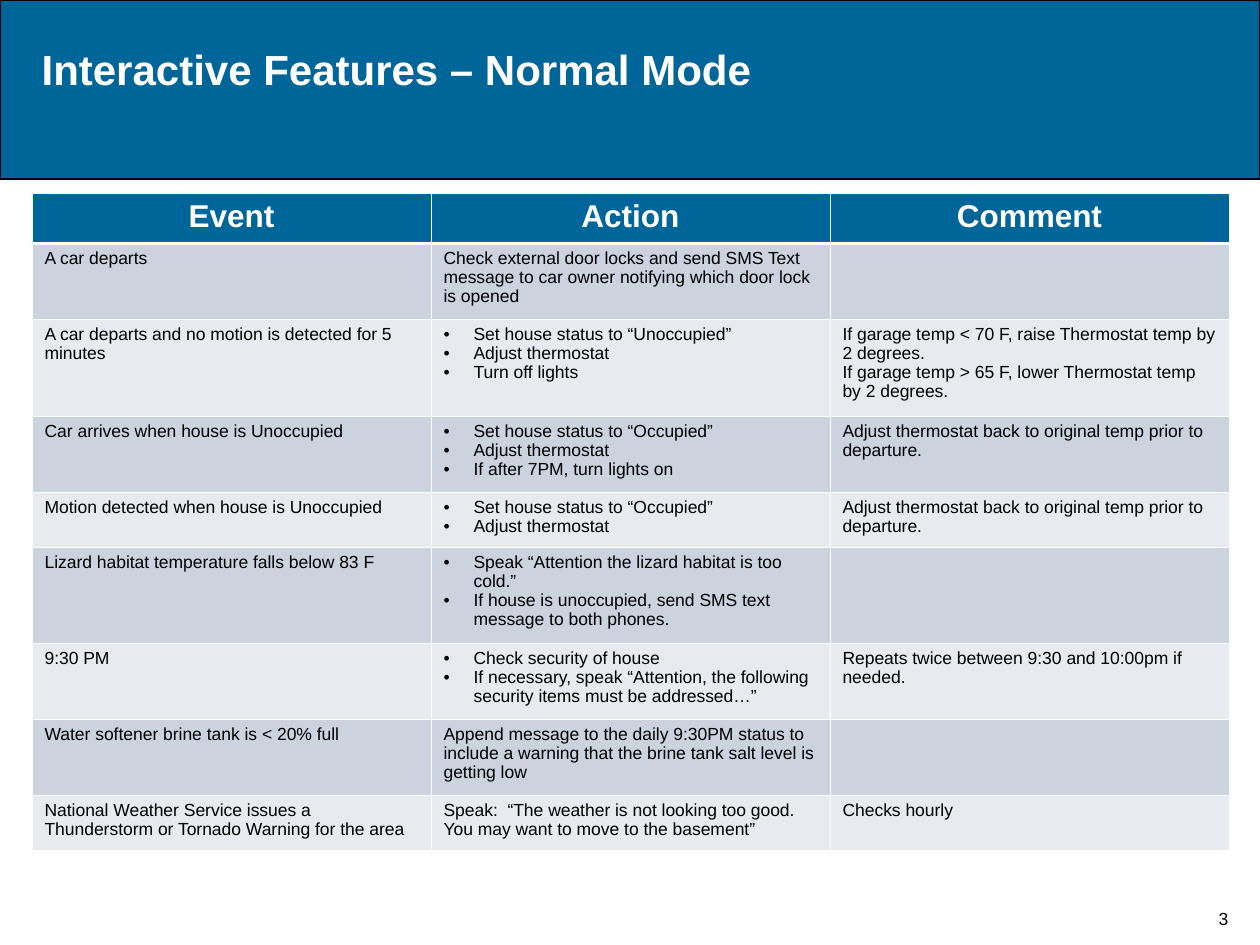
from dataclasses import dataclass

from lxml import etree
from pptx import Presentation
from pptx.dml.color import RGBColor
from pptx.enum.shapes import MSO_SHAPE
from pptx.enum.text import MSO_ANCHOR, MSO_AUTO_SIZE, PP_ALIGN
from pptx.oxml.ns import qn
from pptx.util import Emu, Pt

RECT = MSO_SHAPE.RECTANGLE
TOP, BOTTOM = MSO_ANCHOR.TOP, MSO_ANCHOR.BOTTOM
LEFT, CENTER = PP_ALIGN.LEFT, PP_ALIGN.CENTER
FIXED = MSO_AUTO_SIZE.NONE
SCALE = 914400 / 126


@dataclass(frozen=True)
class Theme:
    """Colours, font and type sizes of the deck."""
    font: str = "Arial"
    blue: str = "006699"
    white: str = "FFFFFF"
    black: str = "000000"
    bands: tuple = ("E7EAEF", "CBD3DE")
    title: int = 24
    head: int = 18
    body: int = 10
    pitch: float = 0.97
    thin: float = 0.45
    thick: float = 1.47


def px(n):
    """Turn px into EMU."""
    return Emu(round(n * SCALE))


def tint(code):
    """Turn a hex code into a colour."""
    return RGBColor.from_string(code)


class Deck:
    """Holds the theme and the current slide."""

    def __init__(self, theme, wide, high):
        """Open a deck with one titled slide."""
        self.theme = theme
        self.show = Presentation()
        self.show.slide_width, self.show.slide_height = px(wide), px(high)
        self.slide = self.show.slides.add_slide(self.show.slide_layouts[5])

    def text(self, para, words, size, color, bold=False, align=LEFT):
        """Add one styled run to a paragraph."""
        para.alignment = align
        run = para.add_run()
        run.text = words
        font = run.font
        font.name, font.size, font.bold = self.theme.font, Pt(size), bold
        font.color.rgb = tint(color)

    def band(self, *box):
        """Draw the title band behind everything else."""
        shape = self.slide.shapes.add_shape(RECT, *map(px, box))
        shape.shadow.inherit = False
        shape.fill.solid()
        shape.fill.fore_color.rgb = tint(self.theme.blue)
        shape.line.color.rgb = tint(self.theme.black)
        shape.line.width = Pt(1)
        tree = shape.element.getparent()
        tree.insert(2, shape.element)

    def title(self, words, *box):
        """Move and fill the title placeholder."""
        shape = self.slide.shapes.title
        shape.left, shape.top, shape.width, shape.height = map(px, box)
        frame = shape.text_frame
        frame.auto_size, frame.vertical_anchor = FIXED, TOP
        look = self.theme
        self.text(frame.paragraphs[0], words, look.title, look.white, True)

    def label(self, words, *box):
        """Add a small centred label sitting on the base of its box."""
        frame = self.slide.shapes.add_textbox(*map(px, box)).text_frame
        frame.word_wrap, frame.vertical_anchor = True, BOTTOM
        look = self.theme
        self.text(frame.paragraphs[0], words, look.body, look.black, align=CENTER)

    def bullet(self, para, indent):
        """Give a paragraph a hanging bullet."""
        props = para._p.get_or_add_pPr()
        props.set("marL", str(px(indent)))
        props.set("indent", str(-px(indent)))
        color = etree.SubElement(props, qn("a:buClr"))
        etree.SubElement(color, qn("a:srgbClr"), val=self.theme.black)
        etree.SubElement(props, qn("a:buFont"), typeface=self.theme.font)
        etree.SubElement(props, qn("a:buChar"), char="•")

    def rule(self, cell, row):
        """Rule a cell, with a thick line under the header."""
        look = self.theme
        props = cell._tc.get_or_add_tcPr()
        for side in "LRTB":
            thick = (row, side) in ((0, "B"), (1, "T"))
            width = Pt(look.thick if thick else look.thin)
            line = etree.SubElement(props, qn(f"a:ln{side}"), w=str(width))
            fill = etree.SubElement(line, qn("a:solidFill"))
            etree.SubElement(fill, qn("a:srgbClr"), val=look.white)

    def cell(self, cell, row, words):
        """Fill one cell: a string or tuple of lines, or a list of bullets."""
        look = self.theme
        self.rule(cell, row)
        cell.fill.solid()
        cell.fill.fore_color.rgb = tint(look.bands[row % 2] if row else look.blue)
        lines = [words] if isinstance(words, str) else words
        frame = cell.text_frame
        for i, line in enumerate(filter(None, lines)):
            para = frame.add_paragraph() if i else frame.paragraphs[0]
            if row == 0:
                self.text(para, line, look.head, look.white, True, CENTER)
                continue
            para.line_spacing = look.pitch
            if isinstance(words, list):
                self.bullet(para, 30)
            self.text(para, line, look.body, look.black)

    def table(self, rows, highs, left, top, wide):
        """Add a table with equal columns."""
        count = len(rows[0])
        box = map(px, (left, top, wide, sum(highs)))
        grid = self.slide.shapes.add_table(len(rows), count, *box).table
        for col in grid.columns:
            col.width = px(wide / count)
        for r, (texts, high) in enumerate(zip(rows, highs)):
            grid.rows[r].height = px(high)
            for c, words in enumerate(texts):
                self.cell(grid.cell(r, c), r, words)


ROWS = [
    ("Event", "Action", "Comment"),
    ("A car departs",
     "Check external door locks and send SMS Text message to car owner "
     "notifying which door lock is opened", ""),
    ("A car departs and no motion is detected for 5 minutes",
     ["Set house status to “Unoccupied”", "Adjust thermostat", "Turn off lights"],
     ("If garage temp < 70 F, raise Thermostat temp by 2 degrees.",
      "If garage temp > 65 F, lower Thermostat temp by 2 degrees.")),
    ("Car arrives when house is Unoccupied",
     ["Set house status to “Occupied”", "Adjust thermostat",
      "If after 7PM, turn lights on"],
     "Adjust thermostat back to original temp prior to departure."),
    ("Motion detected when house is Unoccupied",
     ["Set house status to “Occupied”", "Adjust thermostat"],
     "Adjust thermostat back to original temp prior to departure."),
    ("Lizard habitat temperature falls below 83 F",
     ["Speak “Attention the lizard habitat is too cold.”",
      "If house is unoccupied, send SMS text message to both phones."], ""),
    ("9:30 PM",
     ["Check security of house",
      "If necessary, speak “Attention, the following security items must be "
      "addressed…”"],
     "Repeats twice between 9:30 and 10:00pm if needed."),
    ("Water softener brine tank is < 20% full",
     "Append message to the daily 9:30PM status to include a warning that the "
     "brine tank salt level is getting low", ""),
    ("National Weather Service issues a Thunderstorm or Tornado Warning for the area",
     "Speak:  “The weather is not looking too good.  You may want to move to "
     "the basement”",
     "Checks hourly"),
]
HIGHS = (50, 76, 97, 76, 55, 96, 76, 76, 55)


def main():
    """Build and save the slide."""
    deck = Deck(Theme(), 1260, 945)
    deck.band(0, 0, 1260, 179)
    deck.label("3", 1197, 872, 53, 63)
    deck.title("Interactive Features – Normal Mode", 29, 37, 1188, 63)
    deck.table(ROWS, HIGHS, 32, 193, 1197)
    deck.show.save("out.pptx")


if __name__ == "__main__":
    main()
